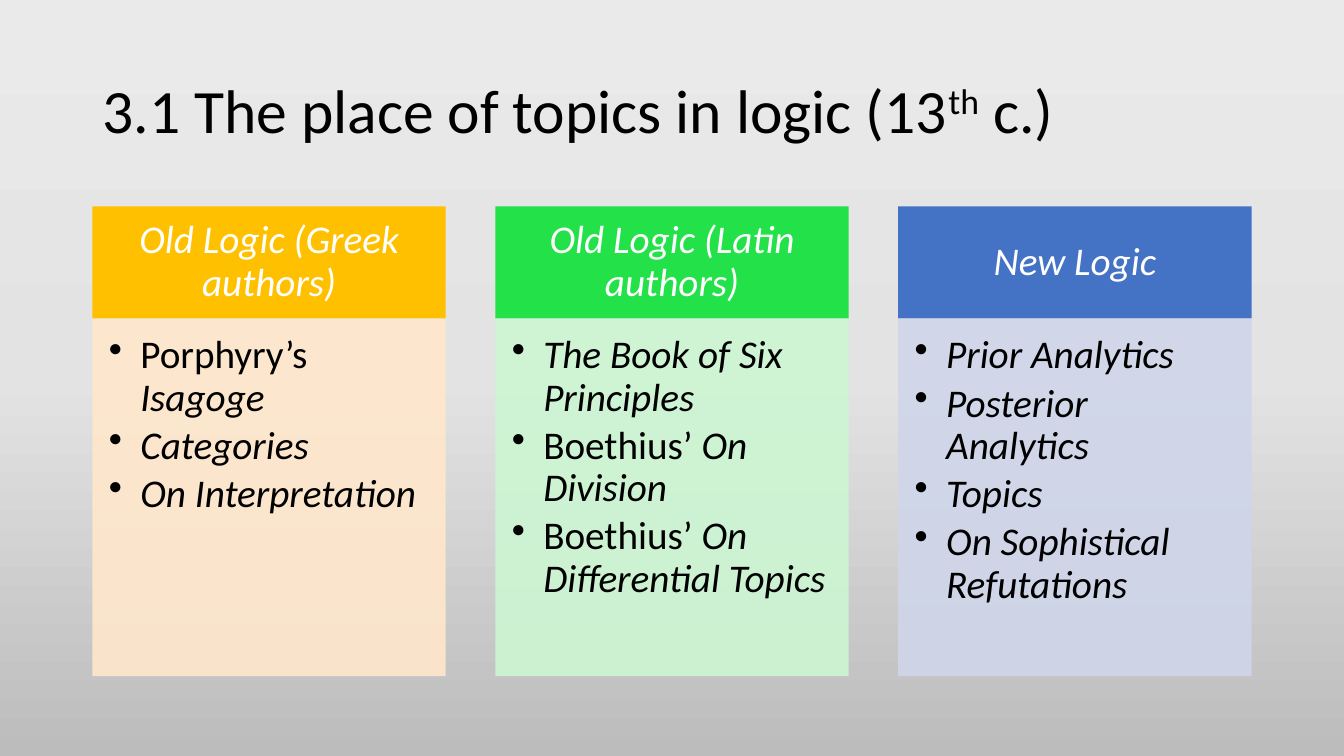
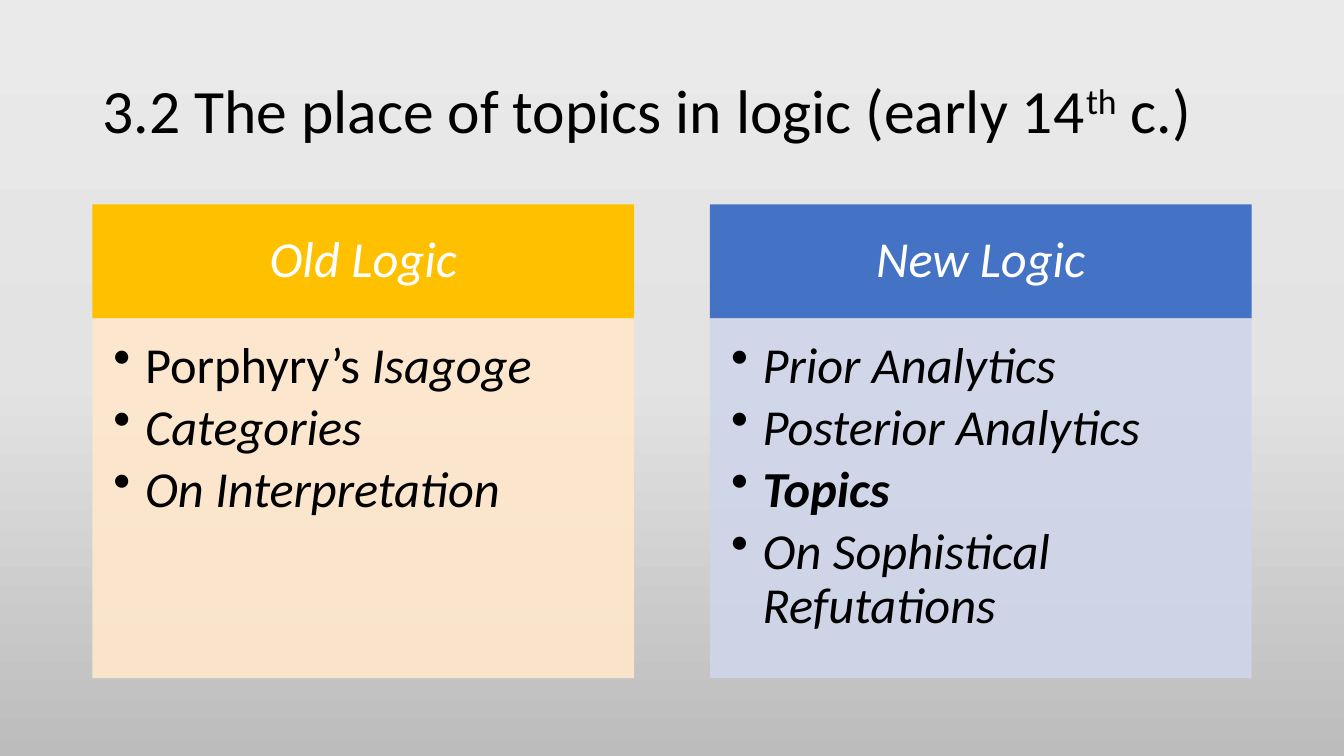
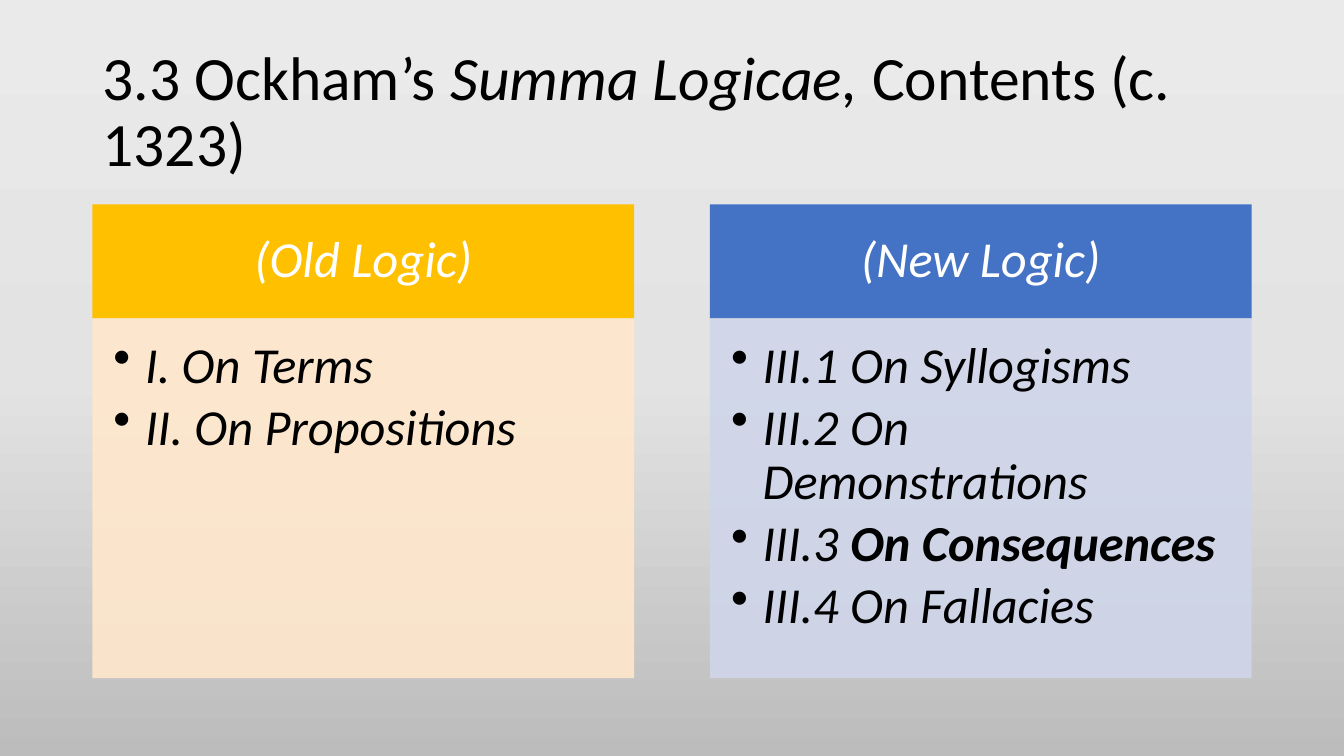
import copy

import pptx
import pptx.dml.color
import pptx.enum.shapes
import pptx.enum.text
import pptx.oxml
import pptx.oxml.ns
import pptx.util

Pt = pptx.util.Pt
ANCHOR = pptx.enum.text.MSO_ANCHOR
ALIGN = pptx.enum.text.PP_ALIGN

COLORS = {
    "sky": "EBEAEA",
    "haze": "E4E3E3",
    "ground": "BDBCBC",
    "ink": "000000",
    "paper": "FFFFFF",
    "gold": "FFC000",
    "gold_tint": "FFE8CC",
    "green": "23E148",
    "green_tint": "CCF6D3",
    "blue": "4472C4",
    "blue_tint": "CFD6EA",
}
FONT = "Calibri"
LEFT, CONTENT_WIDTH = 66, 828
TITLE_TOP, TITLE_HEIGHT, TITLE_SIZE = 28.8, 104.4, 44
BODY_TOP = 227.5
GAP_RATIO = 0.14
BULLET_INDENT = 22.5

ITALIC = {"italic": True}
BOLD_ITALIC = {"italic": True, "bold": True}
RAISED = {"baseline": 30000}


def rgb(name):
    return pptx.dml.color.RGBColor.from_string(COLORS[name])


def add_span(para, text, size, color="ink", italic=False, bold=False, baseline=None):
    span = para.add_run()
    span.text = text
    font = span.font
    font.name, font.size = FONT, Pt(size)
    font.italic, font.bold = italic, bold
    font.color.rgb = rgb(color)
    if baseline:
        font._element.set("baseline", str(baseline))


def fill_para(para, spans, size, align=ALIGN.LEFT, color="ink"):
    para.alignment = align
    para.line_spacing = 0.9
    para.space_before = Pt(0)
    for text, style in spans:
        add_span(para, text, size, color=color, **style)


def add_bullet(para, size):
    para.space_after = Pt(round(size * 0.15, 2))
    properties = para._p.get_or_add_pPr()
    properties.set("marL", str(Pt(BULLET_INDENT)))
    properties.set("indent", str(-Pt(BULLET_INDENT)))
    bullet = pptx.oxml.ns.qn("a:buChar")
    properties.append(properties.makeelement(bullet, {"char": "•"}))


def set_opacity(box, percent):
    color = box._element.spPr.find(".//" + pptx.oxml.ns.qn("a:srgbClr"))
    alpha = pptx.oxml.ns.qn("a:alpha")
    color.append(color.makeelement(alpha, {"val": str(percent * 1000)}))


def add_box(page, left, top, width, height, color, anchor, insets):
    box = page.shapes.add_shape(
        pptx.enum.shapes.MSO_SHAPE.RECTANGLE, Pt(left), Pt(top), Pt(width), Pt(height)
    )
    box.shadow.inherit = False
    box.fill.solid()
    box.fill.fore_color.rgb = rgb(color)
    box.line.fill.background()
    frame = box.text_frame
    frame.word_wrap = True
    frame.vertical_anchor = anchor
    frame.margin_left, frame.margin_top, frame.margin_right, frame.margin_bottom = map(Pt, insets)
    return box


def add_column(page, left, width, heading, color, items, size, header_height, body_height):
    side, edge = size * 0.56, size * 0.32
    header = add_box(page, left, BODY_TOP - header_height, width, header_height, color,
                     ANCHOR.MIDDLE, (side, edge, side, edge))
    fill_para(header.text_frame.paragraphs[0], [(heading, ITALIC)], size, ALIGN.CENTER, "paper")

    inner = size * 0.42
    body = add_box(page, left, BODY_TOP, width, body_height, color + "_tint",
                   ANCHOR.TOP, (inner, inner, side, size * 0.63))
    set_opacity(body, 90)
    frame = body.text_frame
    for index, item in enumerate(items):
        para = frame.add_paragraph() if index else frame.paragraphs[0]
        spans = [(item, ITALIC)] if isinstance(item, str) else item
        fill_para(para, spans, size)
        add_bullet(para, size)


def add_columns(page, columns, size, header_height, body_height):
    count = len(columns)
    width = CONTENT_WIDTH / (count + (count - 1) * GAP_RATIO)
    for index, (heading, color, items) in enumerate(columns):
        left = LEFT + index * width * (1 + GAP_RATIO)
        add_column(page, left, width, heading, color, items, size, header_height, body_height)


def add_page(deck, title_spans):
    page = deck.slides.add_slide(deck.slide_layouts[5])
    title = page.shapes.title
    title.left, title.top = Pt(LEFT), Pt(TITLE_TOP)
    title.width, title.height = Pt(CONTENT_WIDTH), Pt(TITLE_HEIGHT)
    frame = title.text_frame
    frame.word_wrap = True
    frame.auto_size = pptx.enum.text.MSO_AUTO_SIZE.NONE
    frame.vertical_anchor = ANCHOR.MIDDLE
    fill_para(frame.paragraphs[0], title_spans, TITLE_SIZE)
    return page


def set_background(master):
    fill = master.background.fill
    fill.gradient()
    fill.gradient_angle = 270
    first = fill.gradient_stops[0]._gs
    first.addnext(copy.deepcopy(first))
    stops = zip(fill.gradient_stops, (0, 0.5, 1), ("sky", "haze", "ground"))
    for stop, position, color in stops:
        stop.position = position
        stop.color.rgb = rgb(color)


def main():
    deck = pptx.Presentation()
    deck.slide_width, deck.slide_height = Pt(960), Pt(540)
    set_background(deck.slide_master)

    greek_works = [[("Porphyry’s ", {}), ("Isagoge", ITALIC)], "Categories", "On Interpretation"]
    latin_works = [
        "The Book of Six Principles",
        [("Boethius’ ", {}), ("On Division", ITALIC)],
        [("Boethius’ ", {}), ("On Differential Topics", ITALIC)],
    ]
    analytics = ["Prior Analytics", "Posterior Analytics"]
    refutations = "On Sophistical Refutations"
    two_columns = {"size": 36, "header_height": 81.4, "body_height": 257}

    page = add_page(deck, [("3.1 The place of topics in logic (13", {}), ("th", RAISED), (" c.)", {})])
    add_columns(page, [
        ("Old Logic (Greek authors)", "gold", greek_works),
        ("Old Logic (Latin authors)", "green", latin_works),
        ("New Logic", "blue", analytics + ["Topics", refutations]),
    ], size=28, header_height=80, body_height=255.5)

    page = add_page(deck, [("3.2 The place of topics in logic (early 14", {}), ("th", RAISED), (" c.)", {})])
    add_columns(page, [
        ("Old Logic", "gold", greek_works),
        ("New Logic", "blue", analytics + [[("Topics", BOLD_ITALIC)], refutations]),
    ], **two_columns)

    page = add_page(deck, [("3.3 Ockham’s ", {}), ("Summa Logicae, ", ITALIC), ("Contents (c. 1323)", {})])
    add_columns(page, [
        ("(Old Logic)", "gold", ["I. On Terms", "II. On Propositions"]),
        ("(New Logic)", "blue", [
            "III.1 On Syllogisms",
            "III.2 On Demonstrations",
            [("III.3 ", ITALIC), ("On Consequences", BOLD_ITALIC)],
            "III.4 On Fallacies",
        ]),
    ], **two_columns)

    deck.save("out.pptx")


if __name__ == "__main__":
    main()
